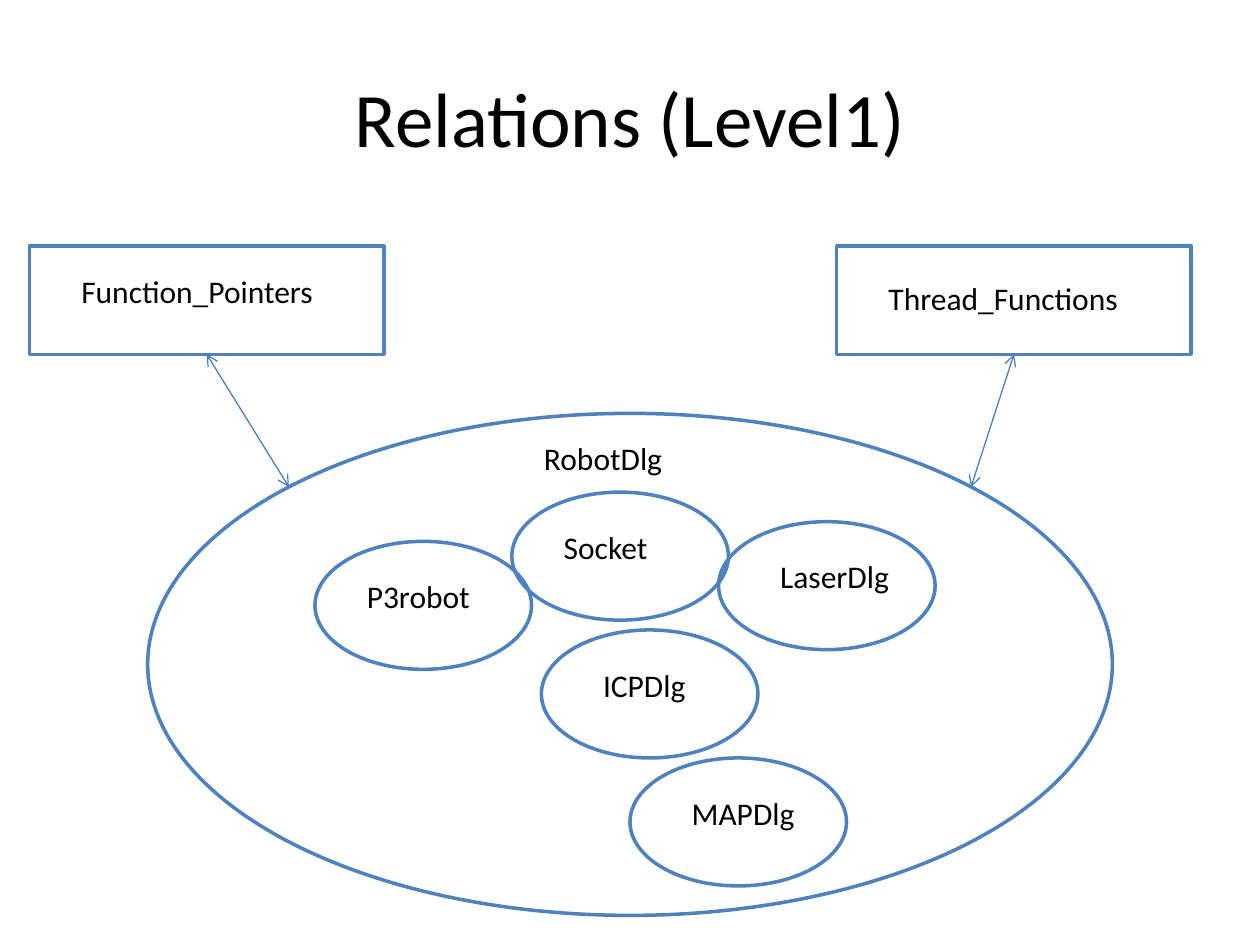
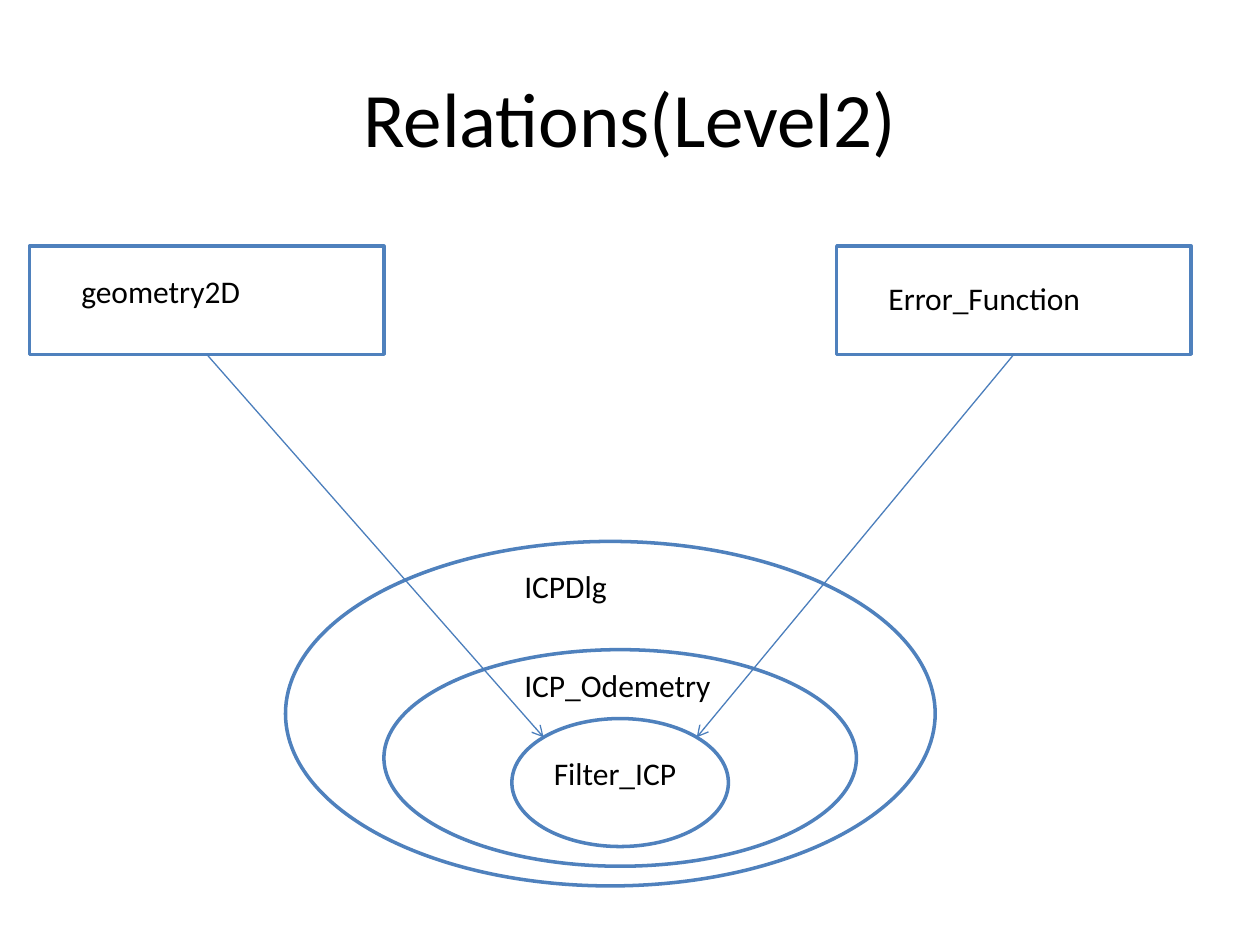
from collections import namedtuple
from math import sqrt

from pptx import Presentation
from pptx.dml.color import RGBColor
from pptx.enum.shapes import MSO_CONNECTOR, MSO_SHAPE
from pptx.enum.text import MSO_ANCHOR, MSO_AUTO_SIZE, PP_ALIGN
from pptx.oxml.ns import qn
from pptx.util import Inches, Pt
from lxml.etree import SubElement

COLORS = {"text": "000000", "outline": "4F81BD", "arrow": "4B7EBC"}
FONT = "Calibri"
WIDTH, HEIGHT = 10, 7.5
COLS, ROWS = 128, 96
LABEL_ROWS = 5.12
CORNER = (1 - 1 / sqrt(2)) / 2  # where an ellipse meets its diagonal

Box = namedtuple("Box", "x y w h")
TITLE = Box(0.05 * COLS, 0.04 * ROWS, 0.9 * COLS, ROWS / 6)
LEFT_BOX = Box(3, 25, 36, 11)
RIGHT_BOX = Box(85, 25, 36, 11)


def col(n):
    return Inches(n * WIDTH / COLS)


def row(n):
    return Inches(n * HEIGHT / ROWS)


def place(box):
    return col(box.x), row(box.y), col(box.w), row(box.h)


def rgb(name):
    return RGBColor.from_string(COLORS[name])


def add_text(s, text, box, size=18, align=PP_ALIGN.LEFT,
             anchor=MSO_ANCHOR.TOP, fit=MSO_AUTO_SIZE.SHAPE_TO_FIT_TEXT):
    tf = s.shapes.add_textbox(*place(box)).text_frame
    tf.word_wrap = True
    tf.auto_size = fit
    tf.vertical_anchor = anchor
    p = tf.paragraphs[0]
    p.alignment = align
    r = p.add_run()
    r.text = text
    r.font.name = FONT
    r.font.size = Pt(size)
    r.font.color.rgb = rgb("text")


def add_node(s, kind, text, box, dx, dy, label_w):
    """Outlined shape with a label offset from its top left corner."""
    sp = s.shapes.add_shape(kind, *place(box))
    sp.shadow.inherit = False
    sp.fill.background()
    sp.line.color.rgb = rgb("outline")
    sp.line.width = Pt(2)
    add_text(s, text, Box(box.x + dx, box.y + dy, label_w, LABEL_ROWS))
    return sp


def add_ellipse(s, text, box, dx=5, dy=3, label_w=17):
    return add_node(s, MSO_SHAPE.OVAL, text, box, dx, dy, label_w)


def add_arrow(s, start, box, share, ends):
    """Arrow from the bottom of a rectangle to the upper arc of an ellipse."""
    x, y = col(box.x + box.w * share), row(box.y + box.h * CORNER)
    c = s.shapes.add_connector(MSO_CONNECTOR.STRAIGHT, 0, 0, x, y)
    c.begin_connect(start, 2)
    c.line.color.rgb = rgb("arrow")
    c.line.width = Pt(0.75)
    ln = c.line._get_or_add_ln()
    for end in ends:
        SubElement(ln, qn(f"a:{end}"), type="arrow")
    SubElement(c._element.spPr, qn("a:effectLst"))


def add_top_boxes(s, left, right, target, ends):
    """Two rectangles, each with an arrow to the target ellipse."""
    for text, box, dy, share in ((left, LEFT_BOX, 2, CORNER),
                                 (right, RIGHT_BOX, 2.75, 1 - CORNER)):
        sp = add_node(s, MSO_SHAPE.RECTANGLE, text, box, 4, dy, 27)
        add_arrow(s, sp, target, share, ends)


def add_slide(prs, title):
    s = prs.slides.add_slide(prs.slide_layouts[6])
    add_text(s, title, TITLE, size=44, align=PP_ALIGN.CENTER,
             anchor=MSO_ANCHOR.MIDDLE, fit=MSO_AUTO_SIZE.NONE)
    return s


def add_dialog_cluster(s, box):
    """Main dialog ellipse holding equal small ellipses."""
    add_ellipse(s, "RobotDlg", box, dx=39, dy=2)
    for text, x, y, dx in (("P3robot", 17, 13, 4), ("ICPDlg", 40, 22, 5),
                           ("LaserDlg", 58, 11, 5), ("Socket", 37, 8, 4),
                           ("MAPDlg", 49, 35, 5)):
        add_ellipse(s, text, Box(box.x + x, box.y + y, 22, 13), dx=dx)


def add_nested_ellipses(s, box):
    """Three ellipses inside each other; returns the innermost box."""
    middle = Box(box.x + 10, box.y + 11, 48, 22)
    inner = Box(box.x + 23, box.y + 18, 22, 13)
    add_ellipse(s, "ICPDlg", box, dx=23, dy=2)
    add_ellipse(s, "ICP_Odemetry", middle, dx=13, dy=1, label_w=24)
    add_ellipse(s, "Filter_ICP", inner, dx=3, label_w=24)
    return inner


def main():
    prs = Presentation()
    prs.slide_width, prs.slide_height = Inches(WIDTH), Inches(HEIGHT)

    # Level 1: two-way links to the main dialog
    s = add_slide(prs, "Relations (Level1)")
    dialog = Box(15, 42, 98, 51)
    add_dialog_cluster(s, dialog)
    add_top_boxes(s, "Function_Pointers", "Thread_Functions", dialog,
                  ("headEnd", "tailEnd"))

    # Level 2: one-way links to the innermost filter
    s = add_slide(prs, "Relations(Level2)")
    inner = add_nested_ellipses(s, Box(29, 55, 66, 35))
    add_top_boxes(s, "geometry2D", "Error_Function", inner, ("tailEnd",))

    prs.save("out.pptx")


if __name__ == "__main__":
    main()
